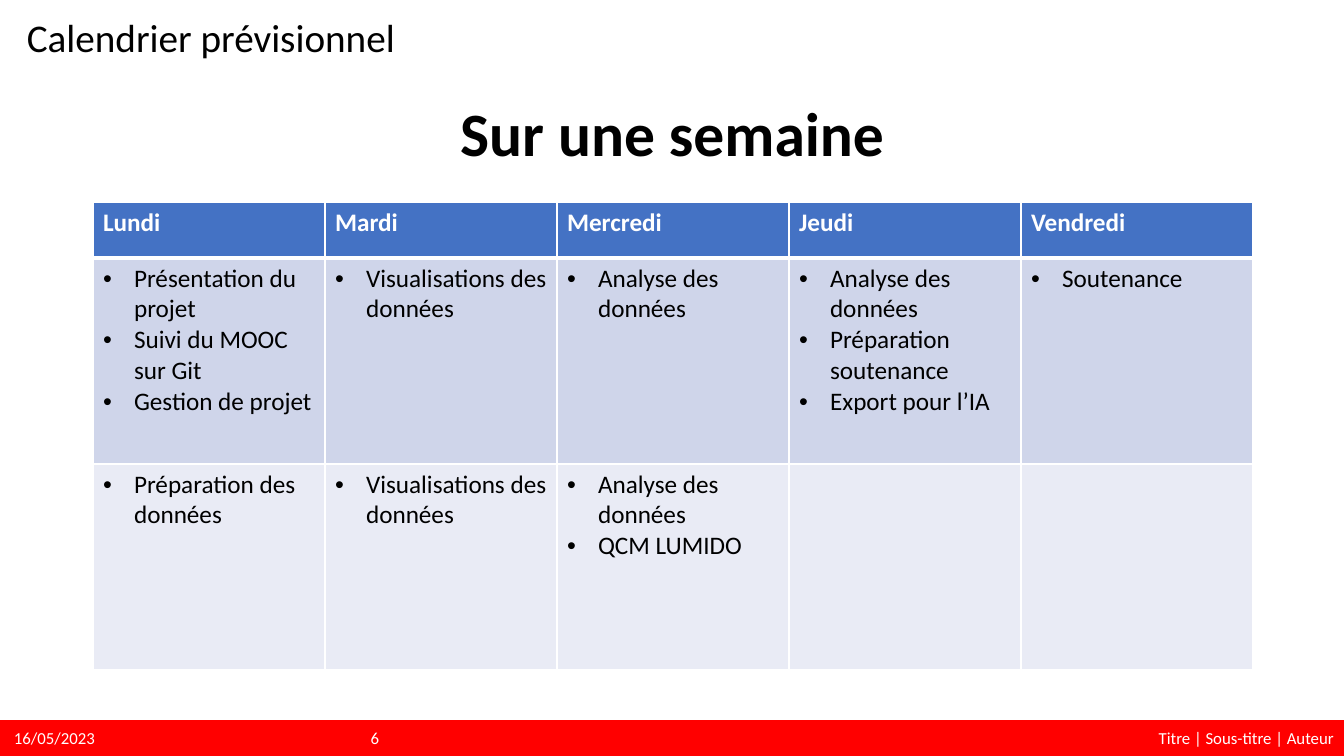
from lxml.etree import SubElement
from pptx import Presentation
from pptx.dml.color import RGBColor
from pptx.enum.shapes import MSO_SHAPE
from pptx.enum.text import MSO_ANCHOR, PP_ALIGN
from pptx.oxml import parse_xml
from pptx.oxml.ns import nsdecls, qn
from pptx.util import Emu, Pt

# Content
SECTION = "Calendrier prévisionnel"
TITLE = "Sur une semaine"
DATE, NUMBER, FOOTER = "16/05/2023", "6", "Titre | Sous-titre | Auteur"
DAYS = ["Lundi", "Mardi", "Mercredi", "Jeudi", "Vendredi"]
HALF_DAYS = [
    [
        ["Présentation du projet", "Suivi du MOOC sur Git", "Gestion de projet"],
        ["Visualisations des données"],
        ["Analyse des données"],
        ["Analyse des données", "Préparation soutenance", "Export pour l’IA"],
        ["Soutenance"],
    ],
    [
        ["Préparation des données"],
        ["Visualisations des données"],
        ["Analyse des données", "QCM LUMIDO"],
        [],
        [],
    ],
]

# Style
BLACK = RGBColor(0x00, 0x00, 0x00)
WHITE = RGBColor(0xFF, 0xFF, 0xFF)
RED = RGBColor(0xFF, 0x00, 0x00)
BLUE = RGBColor(0x44, 0x72, 0xC4)
BAND_DARK = RGBColor(0xCF, 0xD5, 0xEA)
BAND_LIGHT = RGBColor(0xE9, 0xEB, 0xF5)
ROW_FILLS = [BLUE, BAND_DARK, BAND_LIGHT]
FONT = "Calibri"

# Layout in px
WIDTH, HEIGHT = 1344, 756
BAR_TOP, BAR_HEIGHT = 720, 36
TABLE_LEFT, TABLE_TOP, COL_WIDTH = 93, 202, 232
ROW_HEIGHTS = [56, 206, 206]
BULLET_INDENT = 31


def px(n):
    return Emu(round(n * 914400 / 100.8))


def write(p, text, size, color, bold=False, **paragraph_format):
    for name, value in paragraph_format.items():
        setattr(p, name, value)
    r = p.add_run()
    r.text = text
    for name, value in {"name": FONT, "size": Pt(size), "bold": bold}.items():
        setattr(r.font, name, value)
    r.font.color.rgb = color


def add_text(s, box, text, size, color, anchor=MSO_ANCHOR.MIDDLE, **formats):
    tf = s.shapes.add_textbox(*map(px, box)).text_frame
    tf.word_wrap = True
    tf.vertical_anchor = anchor
    write(tf.paragraphs[0], text, size, color, **formats)


def add_bullet(p):
    pPr = p._p.get_or_add_pPr()
    pPr.set("marL", str(px(BULLET_INDENT)))
    pPr.set("indent", str(-px(BULLET_INDENT)))
    SubElement(pPr, qn("a:buFont")).set("typeface", "Arial")
    SubElement(pPr, qn("a:buChar")).set("char", "•")


def add_borders(cell, widths):
    tcPr = cell._tc.get_or_add_tcPr()
    for i, (side, width) in enumerate(widths.items()):
        tcPr.insert(i, parse_xml(
            f'<a:ln{side} {nsdecls("a")} w="{Pt(width)}"><a:solidFill>'
            f'<a:srgbClr val="{WHITE}"/></a:solidFill></a:ln{side}>'))


prs = Presentation()
prs.slide_width, prs.slide_height = px(WIDTH), px(HEIGHT)
s = prs.slides.add_slide(prs.slide_layouts[6])

# Footer bar
bar = s.shapes.add_shape(MSO_SHAPE.RECTANGLE, *map(px, (0, BAR_TOP, WIDTH, BAR_HEIGHT)))
bar.shadow.inherit = False
bar.fill.solid()
bar.fill.fore_color.rgb = RED
bar.line.fill.background()

# Title
add_text(s, (93, 87, 1159, 100), TITLE, 44, BLACK, bold=True,
         alignment=PP_ALIGN.CENTER, line_spacing=0.9)

# Week table
table = s.shapes.add_table(
    len(ROW_HEIGHTS), len(DAYS), px(TABLE_LEFT), px(TABLE_TOP),
    px(COL_WIDTH * len(DAYS)), px(sum(ROW_HEIGHTS))).table
for column in table.columns:
    column.width = px(COL_WIDTH)
rows = [[[day] for day in DAYS]] + HALF_DAYS
for i, (row, height, fill) in enumerate(zip(rows, ROW_HEIGHTS, ROW_FILLS)):
    table.rows[i].height = px(height)
    header = i == 0
    for j, items in enumerate(row):
        cell = table.cell(i, j)
        cell.fill.solid()
        cell.fill.fore_color.rgb = fill
        add_borders(cell, {"L": 1, "R": 1, "T": 3 if i == 1 else 1, "B": 3 if header else 1})
        tf = cell.text_frame
        for k, item in enumerate(items):
            p = tf.add_paragraph() if k else tf.paragraphs[0]
            write(p, item, 18, WHITE if header else BLACK, bold=header)
            if not header:
                add_bullet(p)

# Footer texts
for left, width, text, alignment in [
    (4, 302, DATE, PP_ALIGN.LEFT),
    (470, 874, FOOTER, PP_ALIGN.RIGHT),
    (327, 62, NUMBER, PP_ALIGN.RIGHT),
]:
    add_text(s, (left, BAR_TOP, width, BAR_HEIGHT), text, 12, WHITE, alignment=alignment)

# Section heading
add_text(s, (17, 14, 629, 66), SECTION, 28, BLACK, MSO_ANCHOR.TOP,
         line_spacing=0.9, space_before=Pt(10))

prs.save("out.pptx")
